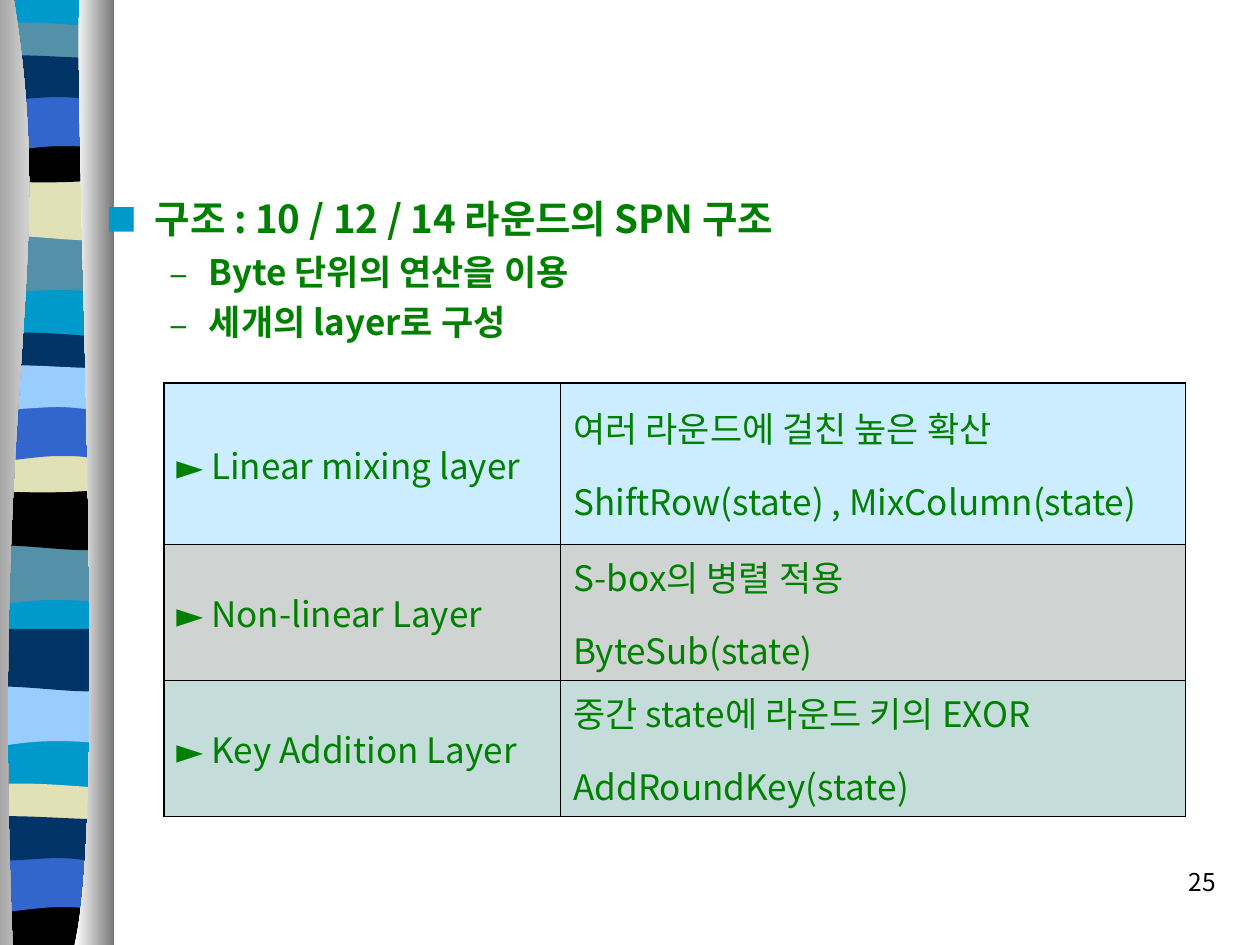
from dataclasses import dataclass

from lxml import etree
from pptx import Presentation
from pptx.dml.color import RGBColor
from pptx.enum.text import MSO_ANCHOR, PP_ALIGN
from pptx.oxml.ns import qn
from pptx.util import Pt

PX = 9144
MIDDLE = MSO_ANCHOR.MIDDLE
LEFT = PP_ALIGN.LEFT
RIGHT = PP_ALIGN.RIGHT


@dataclass(frozen=True)
class Theme:
    font: str = "Noto Sans CJK KR"
    green: str = "008000"
    black: str = "000000"
    white: str = "FFFFFF"
    shade: str = "767676"
    cyan: str = "0099CC"
    steel: str = "5490A8"
    sand: str = "E1E1B7"
    blue: str = "3366CC"
    navy: str = "003366"
    sky: str = "99CCFF"
    rows: tuple = ("CCECFF", "CFD3D1", "C5DDDA")
    heading: int = 22
    body: int = 20
    number: int = 14
    outer_line: float = 1.08
    inner_line: float = 0.45


THEME = Theme()

WAVES = {
    "swell": [(108, 186), (108, 186, 108, 233, 108, 233),
              (33, 224, 18, 240, 0, 233), (0, 186)],
    "roll": [(108, 141), (108, 188), (90, 196, 33, 183, 0, 188), (0, 141)],
    "crest": [(108, 22), (108, 46), (90, 50, 18, 50, 0, 46), (0, 22),
              (6, 17, 23, 18, 41, 18), (59, 18, 94, 21, 108, 22)],
    "trough": [(108, 108), (108, 141), (90, 146, 18, 146, 0, 141), (0, 108),
               (66, 113, 85, 108, 108, 108)],
    "arch": [(108, 75), (108, 75, 108, 122, 108, 122), (91, 116, 84, 116, 66, 116),
             (48, 116, 16, 122, 0, 122), (0, 75)],
    "ripple": [(108, 46), (108, 77), (101, 82, 84, 77, 66, 77),
               (48, 77, 11, 82, 0, 77), (0, 46),
               (15, 41, 73, 46, 91, 46), (109, 46, 104, 46, 108, 46)],
    "floor": [(108, 108), (108, 146), (1, 146), (0, 108),
              (66, 113, 85, 108, 108, 108)],
}

BANDS = [
    (-19, 0, [("swell", THEME.steel), ("roll", THEME.sand), ("crest", THEME.steel),
              ("trough", THEME.black), ("arch", THEME.blue), ("ripple", THEME.navy)]),
    (-20, 246, [("swell", THEME.steel), ("roll", THEME.black), ("crest", THEME.navy),
                ("trough", THEME.sand), ("arch", THEME.blue), ("ripple", THEME.sky)]),
    (-19, 358, [("swell", THEME.sky), ("roll", THEME.navy)]),
    (-20, 604, [("crest", THEME.sand), ("floor", THEME.black),
                ("arch", THEME.blue), ("ripple", THEME.navy)]),
]

SEA = [(89, 0), (89, 748), (-19, 748), (-19, 0)]
LEFT_EDGE = [(11, 0), (46, 217, -8, 296, 10, 750), (-24, 750), (-25, 0)]
RIGHT_EDGE = [(63, 0), (59, 125, 86, 647, 59, 750), (91, 750), (91, 0)]

OUTLINE = [
    ("구조 : 10 / 12 / 14 라운드의 SPN 구조", 0),
    ("Byte 단위의 연산을 이용", 1),
    ("세개의 layer로 구성", 1),
]
LAYERS = [
    ("► Linear mixing layer", "여러 라운드에 걸친 높은 확산", "ShiftRow(state) , MixColumn(state)"),
    ("► Non-linear Layer", "S-box의 병렬 적용", "ByteSub(state)"),
    ("► Key Addition Layer", "중간 state에 라운드 키의 EXOR", "AddRoundKey(state)"),
]
COLUMN_WIDTHS = (315, 496)
ROW_HEIGHTS = (128, 108, 108)


def px(length):
    return round(length * PX)


def rgb(code):
    return RGBColor.from_string(code)


def bend(shape, segments):
    lines = shape._element.findall(".//" + qn("a:lnTo"))
    for segment in segments:
        count = len(segment) // 2
        knots, lines = lines[:count], lines[count:]
        if count == 3:
            curve = etree.Element(qn("a:cubicBezTo"))
            knots[0].addprevious(curve)
            for knot in knots:
                curve.append(knot[0])
                knot.getparent().remove(knot)


def add_outline(slide, outline, colours, dx=0, dy=0):
    start, *rest = [(px(segment[i] + dx), px(segment[i + 1] + dy))
                    for segment in outline for i in range(0, len(segment), 2)]
    builder = slide.shapes.build_freeform(*start)
    builder.add_line_segments(rest, close=False)
    builder.add_line_segments([], close=True)
    band = builder.convert_to_shape()
    bend(band, outline[1:])
    band.shadow.inherit = False
    band.line.fill.background()
    if len(colours) == 1:
        band.fill.solid()
        band.fill.fore_color.rgb = rgb(colours[0])
        return
    band.fill.gradient()
    band.fill.gradient_angle = 0
    for stop, colour, position in zip(band.fill.gradient_stops, colours, (0, 1)):
        stop.color.rgb = rgb(colour)
        stop.position = position


def add_bullet(paragraph, symbol, colour, percent, margin, indent):
    properties = paragraph._p.get_or_add_pPr()
    properties.set("marL", str(px(margin)))
    properties.set("indent", str(px(indent)))
    bullet_colour = etree.SubElement(properties, qn("a:buClr"))
    etree.SubElement(bullet_colour, qn("a:srgbClr"), val=colour)
    etree.SubElement(properties, qn("a:buSzPct"), val=str(percent * 1000))
    etree.SubElement(properties, qn("a:buFont"), typeface=THEME.font)
    etree.SubElement(properties, qn("a:buChar"), char=symbol)


def write(frame, text, *, size, colour=THEME.green, bold=False, align=LEFT,
          before=0, level=0, bullet=None):
    first = not frame.text
    paragraph = frame.paragraphs[0] if first else frame.add_paragraph()
    paragraph.level = level
    paragraph.alignment = align
    if not first:
        paragraph.space_before = Pt(before)
    if bullet:
        add_bullet(paragraph, *bullet)
    run = paragraph.add_run()
    run.text = text
    run.font.name = THEME.font
    run.font.size = Pt(size)
    run.font.bold = bold
    run.font.color.rgb = rgb(colour)
    etree.SubElement(run.font._element, qn("a:ea"), typeface=THEME.font)


def add_text_area(slide, left, top, width, height):
    frame = slide.shapes.add_textbox(px(left), px(top), px(width), px(height)).text_frame
    frame.word_wrap = True
    return frame


def add_borders(cell, widths):
    properties = cell._tc.get_or_add_tcPr()
    for side, width in zip("LRTB", widths):
        border = etree.SubElement(properties, qn(f"a:ln{side}"), w=str(Pt(width)))
        fill = etree.SubElement(border, qn("a:solidFill"))
        etree.SubElement(fill, qn("a:srgbClr"), val=THEME.black)


def add_layer_table(slide):
    table = slide.shapes.add_table(len(LAYERS), len(COLUMN_WIDTHS), px(130), px(304),
                                   px(sum(COLUMN_WIDTHS)), px(sum(ROW_HEIGHTS))).table
    table.first_row = table.horz_banding = False
    for column, width in zip(table.columns, COLUMN_WIDTHS):
        column.width = px(width)
    for r, (name, role, operation) in enumerate(LAYERS):
        table.rows[r].height = px(ROW_HEIGHTS[r])
        for c, lines in enumerate([(name,), (role, operation)]):
            cell = table.cell(r, c)
            at_edge = (c == 0, c == 1, r == 0, r == len(LAYERS) - 1)
            add_borders(cell, [THEME.outer_line if edge else THEME.inner_line
                               for edge in at_edge])
            cell.fill.solid()
            cell.fill.fore_color.rgb = rgb(THEME.rows[r])
            cell.vertical_anchor = MIDDLE
            for line in lines:
                write(cell.text_frame, line, size=THEME.body, before=12.5)


def add_ribbon(slide):
    add_outline(slide, SEA, [THEME.cyan])
    for dx, dy, waves in BANDS:
        for wave, colour in waves:
            add_outline(slide, WAVES[wave], [colour], dx, dy)
    add_outline(slide, LEFT_EDGE, [THEME.shade, THEME.white])
    add_outline(slide, RIGHT_EDGE, [THEME.white, THEME.shade])


def main():
    deck = Presentation()
    deck.slide_width, deck.slide_height = px(1000), px(750)
    slide = deck.slides.add_slide(deck.slide_layouts[6])
    add_ribbon(slide)
    outline = add_text_area(slide, 75, 150, 850, 508)
    bullets = (("■", THEME.cyan, 80, 38, -38), ("–", THEME.green, 100, 81, -31))
    for text, level in OUTLINE:
        write(outline, text, size=(THEME.heading, THEME.body)[level], bold=True,
              before=5, level=level, bullet=bullets[level])
    add_layer_table(slide)
    page_number = add_text_area(slide, 767, 683, 208, 50)
    write(page_number, "25", size=THEME.number, colour=THEME.black, align=RIGHT)
    deck.save("out.pptx")


if __name__ == "__main__":
    main()
